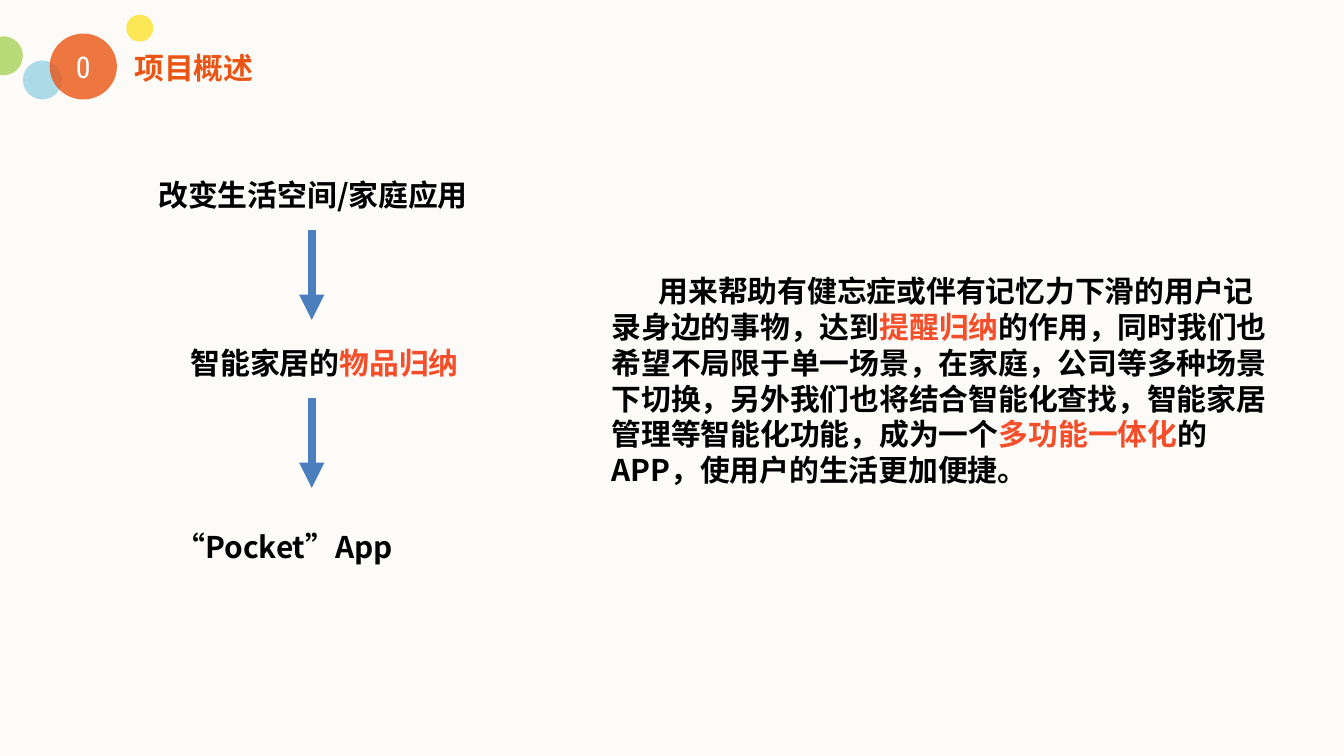
from lxml import etree
from pptx import Presentation
from pptx.dml.color import RGBColor
from pptx.enum.shapes import MSO_CONNECTOR, MSO_SHAPE
from pptx.enum.text import MSO_ANCHOR, MSO_AUTO_SIZE, PP_ALIGN
from pptx.oxml.ns import qn
from pptx.util import Inches, Pt

OVAL, STRAIGHT = MSO_SHAPE.OVAL, MSO_CONNECTOR.STRAIGHT
LEFT, CENTER = PP_ALIGN.LEFT, PP_ALIGN.CENTER
TOP, FIXED = MSO_ANCHOR.TOP, MSO_AUTO_SIZE.NONE

CREAM = RGBColor(0xFC, 0xFB, 0xF7)
YELLOW = RGBColor(0xFB, 0xE2, 0x2D)
GREEN = RGBColor(0xA9, 0xD2, 0x5A)
SKY = RGBColor(0x98, 0xD2, 0xE3)
ORANGE = RGBColor(0xEA, 0x55, 0x14)
RED = RGBColor(0xF5, 0x4E, 0x2A)
BLUE = RGBColor(0x4B, 0x7E, 0xBC)
BLACK = RGBColor(0, 0, 0)
WHITE = RGBColor(0xFF, 0xFF, 0xFF)

CJK_FONT, NUMBER_FONT = "Noto Sans CJK SC", "Roboto Condensed"
SLIDE_WIDTH = Inches(10)
SLIDE_HEIGHT = SLIDE_WIDTH * 9 // 16
INSET = (0.1, 0.05)  # horizontal, vertical
NO_INSET = (0, 0)

# Header bubbles: left, top, width, height, colour
BUBBLES = [
    (0.94, 0.11, 0.2, 0.2, YELLOW),
    (-0.12, 0.27, 0.29, 0.29, GREEN),
    (0.17, 0.45, 0.29, 0.29, SKY),
    (0.37, 0.25, 0.5, 0.49, ORANGE),
]

# Flow steps: left, top, width, coloured pieces of text
STEPS = [
    (1.08, 1.13, 2.74, [("改变生活空间/家庭应用", BLACK)]),
    (1.32, 2.38, 2.62, [("智能家居的", BLACK), ("物品归纳", RED)]),
    (1.21, 3.75, 2.23, [("“Pocket”App", BLACK)]),
]
ARROW_X, ARROW_TOP, ARROW_LENGTH, ARROW_PITCH = 2.32, 1.71, 0.67, 1.25

SUMMARY = [
    ("用来帮助有健忘症或伴有记忆力下滑的用户记录身边的事物，达到", BLACK),
    ("提醒归纳", RED),
    ("的作用，同时我们也希望不局限于单一场景，在家庭，公司等多种场景下切换，"
     "另外我们也将结合智能化查找，智能家居管理等智能化功能，成为一个", BLACK),
    ("多功能一体化", RED),
    ("的APP，使用户的生活更加便捷。", BLACK),
]


def set_all(target, values):
    for name, value in values.items():
        setattr(target, name, value)


def place(shape, left, top, width, height):
    set_all(shape, {"left": Inches(left), "top": Inches(top),
                    "width": Inches(width), "height": Inches(height)})


def write(shape, pieces, inset=INSET, align=LEFT, spacing=1.0,
          font=CJK_FONT, bold=True):
    """Fill a shape with one paragraph of coloured pieces."""
    frame = shape.text_frame
    across, down = Inches(inset[0]), Inches(inset[1])
    set_all(frame, {"word_wrap": True, "auto_size": FIXED,
                    "vertical_anchor": TOP,
                    "margin_left": across, "margin_right": across,
                    "margin_top": down, "margin_bottom": down})
    paragraph = frame.paragraphs[0]
    set_all(paragraph, {"alignment": align, "line_spacing": spacing,
                        "space_before": Pt(0)})
    for text, color in pieces:
        run = paragraph.add_run()
        run.text = text
        set_all(run.font, {"size": Pt(16), "bold": bold, "name": font})
        run.font.color.rgb = color
        etree.SubElement(run.font._element, qn("a:ea"), typeface=font)
    return paragraph


def add_text(slide, box, pieces, **style):
    shape = slide.shapes.add_textbox(0, 0, 0, 0)
    place(shape, *box)
    write(shape, pieces, **style)


def add_bubble(slide, left, top, width, height, color):
    bubble = slide.shapes.add_shape(OVAL, 0, 0, 0, 0)
    place(bubble, left, top, width, height)
    bubble.shadow.inherit = False
    bubble.fill.solid()
    bubble.fill.fore_color.rgb = color
    bubble.line.fill.background()
    tint = bubble._element.spPr.find(qn("a:solidFill"))[0]
    etree.SubElement(tint, qn("a:alpha"), val="80000")


def add_down_arrow(slide, x, top, length):
    arrow = slide.shapes.add_connector(
        STRAIGHT, Inches(x), Inches(top), Inches(x), Inches(top + length))
    arrow.line.color.rgb = BLUE
    arrow.line.width = Pt(4.5)
    etree.SubElement(arrow.line._get_or_add_ln(), qn("a:tailEnd"),
                     type="triangle")
    etree.SubElement(arrow._element.spPr, qn("a:effectLst"))


def add_summary(body):
    place(body, 4.45, 1.98, 5.2, 1.72)
    paragraph = write(body, SUMMARY)
    # First-line indent without a bullet
    properties = paragraph._p.get_or_add_pPr()
    properties.set("marL", "0")
    properties.set("indent", str(Inches(0.35)))
    etree.SubElement(properties, qn("a:buNone"))


def main():
    deck = Presentation()
    deck.slide_width, deck.slide_height = SLIDE_WIDTH, SLIDE_HEIGHT
    slide = deck.slides.add_slide(deck.slide_layouts[1])
    slide.background.fill.solid()
    slide.background.fill.fore_color.rgb = CREAM

    # Header
    for bubble in BUBBLES:
        add_bubble(slide, *bubble)
    add_text(slide, (0.44, 0.36, 0.36, 0.27), [("0", WHITE)], inset=NO_INSET,
             align=CENTER, font=NUMBER_FONT, bold=False)
    title = slide.shapes.title
    place(title, 1, 0.37, 1.98, 0.27)
    write(title, [("项目概述", ORANGE)], inset=NO_INSET)

    # Project summary
    add_summary(slide.placeholders[1])

    # Flow from need to product
    for left, top, width, pieces in STEPS:
        add_text(slide, (left, top, width, 0.46), pieces, spacing=1.5)
    for gap in range(len(STEPS) - 1):
        add_down_arrow(slide, ARROW_X, ARROW_TOP + gap * ARROW_PITCH,
                       ARROW_LENGTH)

    deck.save("out.pptx")


if __name__ == "__main__":
    main()
